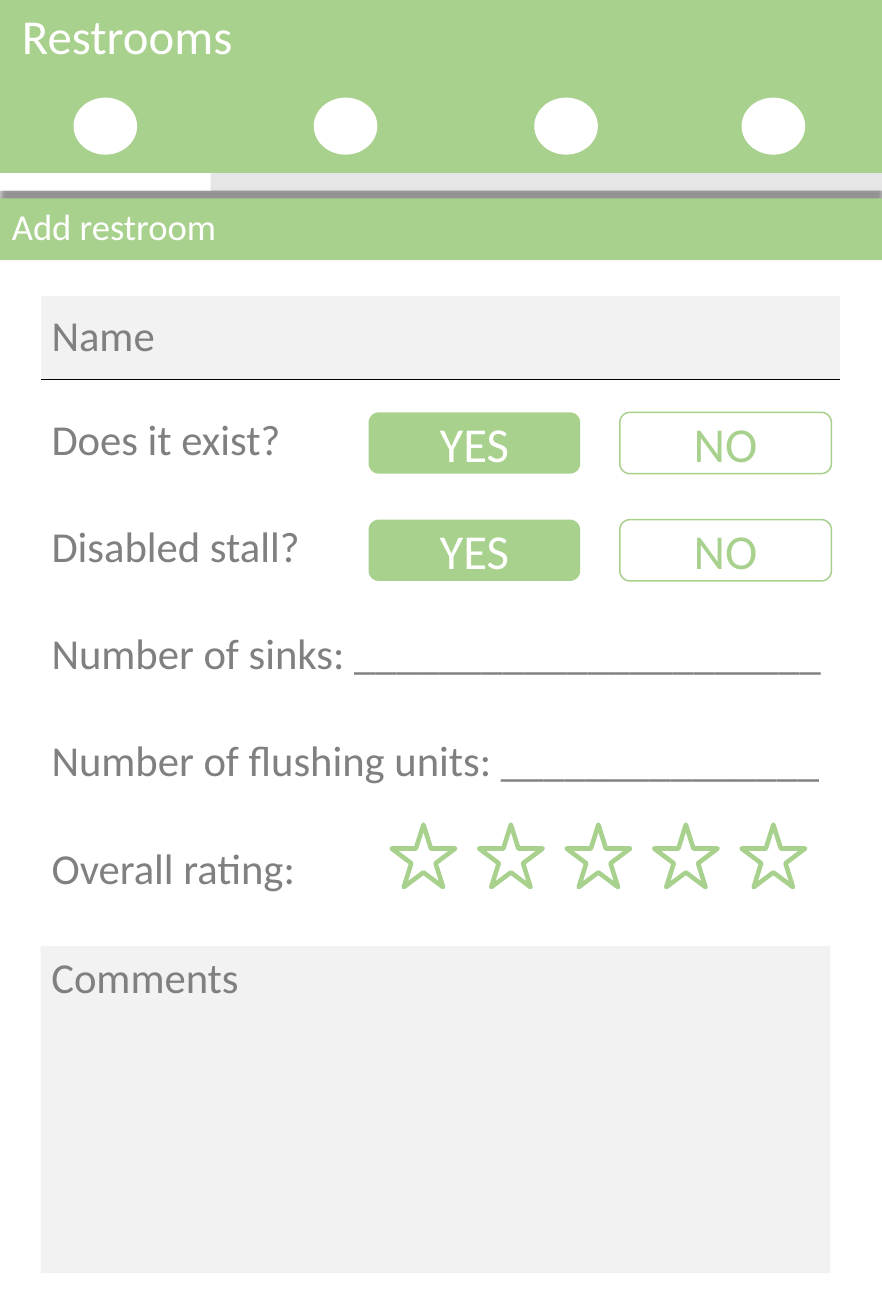
from lxml import etree
from pptx import Presentation
from pptx.dml.color import RGBColor
from pptx.enum.shapes import MSO_SHAPE
from pptx.enum.text import MSO_ANCHOR, MSO_AUTO_SIZE, PP_ALIGN
from pptx.oxml import parse_xml
from pptx.oxml.ns import nsdecls, qn
from pptx.util import Pt

RECT = MSO_SHAPE.RECTANGLE
ROUNDED = MSO_SHAPE.ROUNDED_RECTANGLE
OVAL = MSO_SHAPE.OVAL
STAR = MSO_SHAPE.STAR_5_POINT
TOP, MIDDLE = MSO_ANCHOR.TOP, MSO_ANCHOR.MIDDLE
LEFT, CENTER = PP_ALIGN.LEFT, PP_ALIGN.CENTER
NO_AUTOFIT = MSO_AUTO_SIZE.NONE

COLORS = {
    "green": "A9D18E",
    "white": "FFFFFF",
    "track": "E7E6E6",
    "field": "F2F2F2",
    "label": "808080",
    "black": "000000",
}
WIDTH, HEIGHT = 578.88, 864
DOWN, UP = 90, 270


class FormSlide:
    """Holds the form's style and the slide being filled; lengths are points."""

    font = "Calibri"
    label_size = 28

    def __init__(self, slide):
        self.slide = slide

    def color(self, name):
        return RGBColor.from_string(COLORS[name])

    def paint(self, shape, fill, line=None, line_width=1):
        if fill:
            shape.fill.solid()
            shape.fill.fore_color.rgb = self.color(fill)
        else:
            shape.fill.background()
        if line:
            shape.line.color.rgb = self.color(line)
            shape.line.width = Pt(line_width)
        else:
            shape.line.fill.background()

    def set_text(self, frame, text, size, color, align=LEFT):
        frame.text = text
        paragraph = frame.paragraphs[0]
        paragraph.alignment = align
        for run in paragraph.runs:
            run.font.name = self.font
            run.font.size = Pt(size)
            run.font.color.rgb = self.color(color)

    def cast_shadow(self, shape, direction):
        shape.shadow.inherit = False
        effects = shape._element.spPr.find(qn("a:effectLst"))
        outer = etree.SubElement(
            effects, qn("a:outerShdw"), blurRad=str(Pt(4)), dist=str(Pt(3)),
            dir=str(direction * 60000), rotWithShape="0")
        tint = etree.SubElement(outer, qn("a:srgbClr"), val=COLORS["black"])
        etree.SubElement(tint, qn("a:alpha"), val="40000")

    def title(self, text, height):
        title = self.slide.shapes.title
        title.left, title.top = Pt(0), Pt(0)
        title.width, title.height = Pt(WIDTH), Pt(height)
        self.paint(title, "green")
        self.cast_shadow(title, DOWN)
        frame = title.text_frame
        frame.auto_size = NO_AUTOFIT
        frame.vertical_anchor = TOP
        frame.margin_left = Pt(14.4)
        self.set_text(frame, text, 32, "white")

    def shape(self, kind, left, top, width, height, fill=None, line=None, line_width=1):
        shape = self.slide.shapes.add_shape(
            kind, Pt(left), Pt(top), Pt(width), Pt(height))
        shape.shadow.inherit = False
        self.paint(shape, fill, line, line_width)
        return shape

    def text(self, text, left, top, width, height, size, color):
        box = self.slide.shapes.add_textbox(
            Pt(left), Pt(top), Pt(width), Pt(height))
        box.text_frame.word_wrap = True
        self.set_text(box.text_frame, text, size, color)

    def button(self, text, left, top, chosen):
        button = self.shape(ROUNDED, left, top, 138.96, 40.32,
                            fill="green" if chosen else None,
                            line=None if chosen else "green")
        button.text_frame.vertical_anchor = MIDDLE
        self.set_text(button.text_frame, text, 32, "white" if chosen else "green", CENTER)

    def table(self, labels, left, top, width, row_height, fill=None, anchor=TOP):
        """Add a one-column table and return its cells."""
        table = self.slide.shapes.add_table(
            len(labels), 1, Pt(left), Pt(top), Pt(width),
            Pt(row_height * len(labels))).table
        table.first_row = table.horz_banding = False
        cells = list(table.iter_cells())
        for cell, label in zip(cells, labels):
            if fill:
                cell.fill.solid()
                cell.fill.fore_color.rgb = self.color(fill)
            else:
                cell.fill.background()
            cell.vertical_anchor = anchor
            self.set_text(cell.text_frame, label, self.label_size, "label")
        return cells

    def underline_cell(self, cell):
        border = parse_xml(
            f'<a:lnB {nsdecls("a")} w="{Pt(1)}"><a:solidFill>'
            f'<a:srgbClr val="{COLORS["black"]}"/></a:solidFill></a:lnB>')
        cell._tc.get_or_add_tcPr().insert(0, border)


def main():
    deck = Presentation()
    deck.slide_width, deck.slide_height = Pt(WIDTH), Pt(HEIGHT)
    form = FormSlide(deck.slides.add_slide(deck.slide_layouts[5]))

    # Header with tab strip
    form.title("Restrooms", 123.84)
    form.shape(RECT, 0, 113.76, WIDTH, 11.52, "track")
    form.shape(RECT, 0, 113.76, 138.24, 11.52, "white")
    form.shape(RECT, 0, 330.48, WIDTH, 527.76, "white")
    section_bar = form.shape(RECT, 0, 130.32, WIDTH, 40.32, "green")
    form.cast_shadow(section_bar, UP)
    for tab_left in (48.24, 205.92, 350.64, 486.72):
        form.shape(OVAL, tab_left, 64.08, 41.76, 37.44, "white")
    form.text("Add restroom", 0.72, 130.32, 275, 36, 24, "white")

    # Form fields
    field_left = 26.64
    comments = form.shape(RECT, field_left, 620.64, 518.4, 215.28, "field")
    comments.text_frame.vertical_anchor = TOP
    form.set_text(comments.text_frame, "Comments", form.label_size, "label")

    name_cell, = form.table(["Name"], field_left, 193.68, 524.88, 55.44, "field", MIDDLE)
    form.underline_cell(name_cell)

    row_height = 70.42
    questions = [
        "Does it exist?",
        "Disabled stall?",
        "Number of sinks: " + "_" * 22,
        "Number of flushing units: " + "_" * 15,
        "Overall rating:",
    ]
    form.table(questions, field_left, 268.56, 531.36, row_height)

    # Answers
    for answer, answer_left, chosen in (("YES", 241.92, True), ("NO", 406.8, False)):
        for row in range(2):
            form.button(answer, answer_left, 270.72 + row * row_height, chosen)
    for star in range(5):
        form.shape(STAR, 257.04 + star * 57.42, 541.44, 41.76, 41.04,
                   line="green", line_width=3)

    deck.save("out.pptx")


if __name__ == "__main__":
    main()
